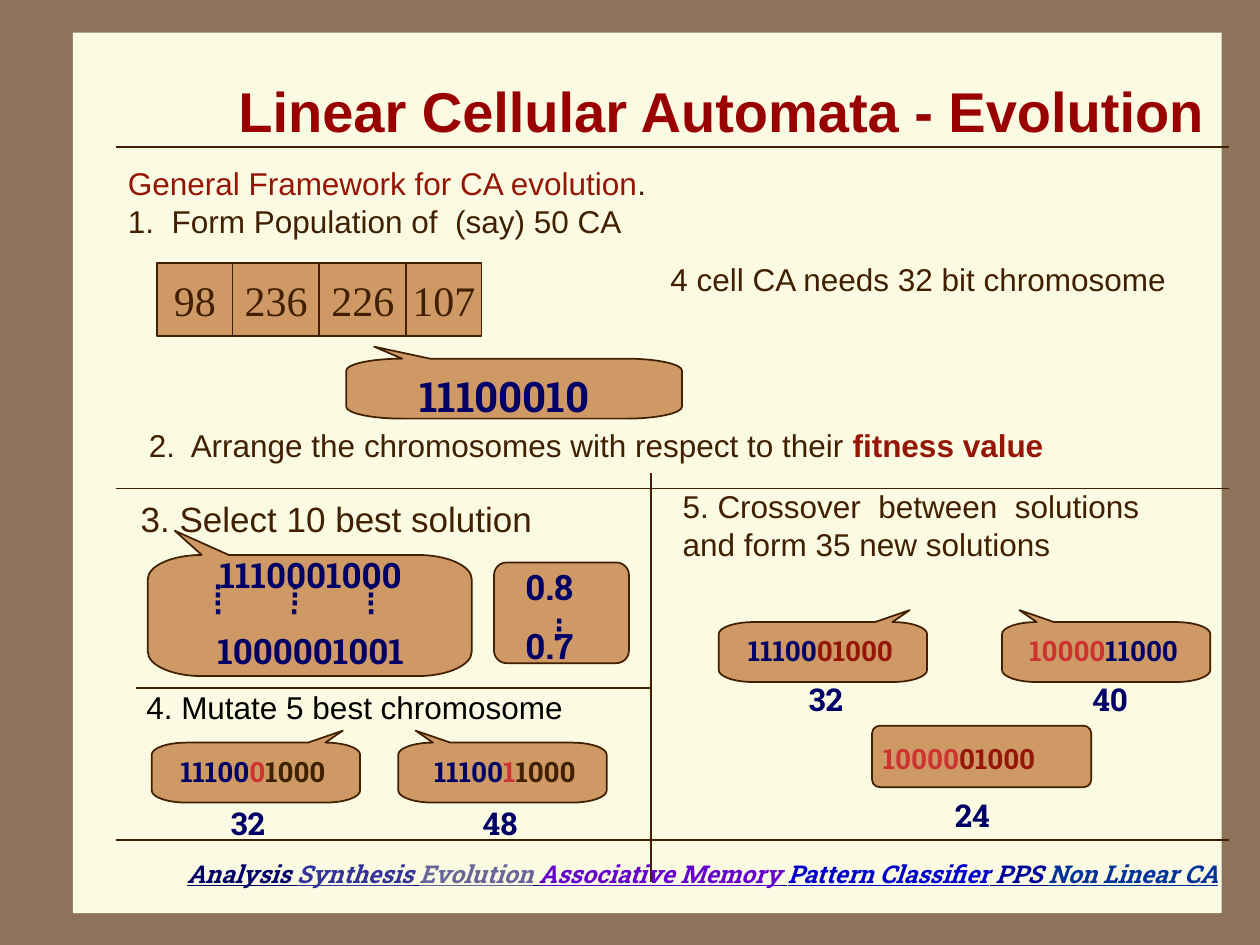
"""Build the slide on the evolution of linear cellular automata."""
from lxml import etree
from pptx import Presentation
from pptx.dml.color import RGBColor
from pptx.enum.shapes import MSO_CONNECTOR, MSO_SHAPE
from pptx.enum.text import MSO_ANCHOR, PP_ALIGN as AL
from pptx.oxml.ns import qn
from pptx.util import Cm, Pt

FRAME = RGBColor(0x8C, 0x73, 0x5A)
CREAM = RGBColor(0xFB, 0xFA, 0xE2)
TAN = RGBColor(0xCE, 0x99, 0x64)
BROWN = RGBColor(0x40, 0x20, 0x00)
NAVY = RGBColor(0x00, 0x00, 0x66)
MAROON = RGBColor(0x95, 0x15, 0x07)
TITLE_RED = RGBColor(0x99, 0x00, 0x00)
RED = RGBColor(0xCD, 0x33, 0x33)
BLACK = RGBColor(0x00, 0x00, 0x00)
INDIGO = RGBColor(0x33, 0x33, 0x99)
GREY_BLUE = RGBColor(0x66, 0x66, 0x99)
PURPLE = RGBColor(0x66, 0x00, 0xCC)
BLUE = RGBColor(0x00, 0x00, 0xCC)
DARK_BLUE = RGBColor(0x00, 0x00, 0x99)
TEAL_BLUE = RGBColor(0x00, 0x33, 0x99)
SLAB = "Roboto Slab"

prs = Presentation()
prs.slide_width, prs.slide_height = Cm(25.4), Cm(19.05)
s = prs.slides.add_slide(prs.slide_layouts[5])
s.background.fill.solid()
s.background.fill.fore_color.rgb = FRAME


def add_text(x, y, w, h, *paras, size=18, font="Arial", align=AL.LEFT, wrap=True, spacing=None):
    sp = s.shapes.add_textbox(Cm(x), Cm(y), Cm(w), Cm(h))
    tf = sp.text_frame
    tf.word_wrap = wrap
    for i, runs in enumerate(paras):
        p = tf.add_paragraph() if i else tf.paragraphs[0]
        p.alignment = align
        p.line_spacing = spacing
        for words, color in runs:
            r = p.add_run()
            r.text = words
            r.font.name, r.font.size, r.font.bold = font, Pt(size), font == SLAB
            r.font.color.rgb = color
    return sp


def add_callout(x, y, w, h, mirror=False):
    sixths = [(0.5, 0), (1.5, 1), (5, 1), (6, 2), (6, 5), (5, 6), (1, 6), (0, 5), (0, 2), (1, 1)]
    pts = [(Cm(x + w * (6 - u if mirror else u) / 6), Cm(y + h * v / 6)) for u, v in sixths]
    fb = s.shapes.build_freeform(*pts[0])
    fb.add_line_segments(pts[1:], close=True)
    sp = fb.convert_to_shape()
    nodes = list(sp._element.iter(qn("a:lnTo")))
    xy = [(int(n[0].get("x")), int(n[0].get("y"))) for n in nodes]
    for i in (2, 4, 6, 8):
        start, end = xy[i - 1], xy[i]
        corner = (end[0], start[1]) if i in (2, 6) else (start[0], end[1])
        nodes[i].tag = qn("a:cubicBezTo")
        for k, base in enumerate((start, end)):
            cx, cy = (round(b + 0.55 * (c - b)) for b, c in zip(base, corner))
            nodes[i].insert(k, etree.Element(qn("a:pt"), x=str(cx), y=str(cy)))
    return sp


panel = s.shapes.add_shape(MSO_SHAPE.RECTANGLE, Cm(1.47), Cm(0.66), Cm(23.16), Cm(17.75))
panel.shadow.inherit = False
panel.fill.solid()
panel.fill.fore_color.rgb = CREAM
panel.line.fill.background()

for x1, y1, x2, y2 in [
    (2.33, 2.97, 24.77, 2.97),
    (2.33, 16.94, 24.77, 16.94),
    (2.33, 9.85, 24.77, 9.85),
    (13.13, 9.53, 13.13, 17.78),
    (2.75, 13.87, 13.13, 13.87),
]:
    line = s.shapes.add_connector(MSO_CONNECTOR.STRAIGHT, Cm(x1), Cm(y1), Cm(x2), Cm(y2))
    line.line.color.rgb = BROWN
    line.line.width = Pt(1)
    etree.SubElement(line._element.spPr, qn("a:effectLst"))

title = s.shapes.title
s.shapes._spTree.append(title._element)
title.left, title.top, title.width, title.height = Cm(2.75), Cm(0.84), Cm(21.8), Cm(2.74)
tf = title.text_frame
tf.word_wrap = True
tf.vertical_anchor = MSO_ANCHOR.MIDDLE
p = tf.paragraphs[0]
p.alignment = AL.RIGHT
r = p.add_run()
r.text = "Linear Cellular Automata - Evolution"
r.font.name, r.font.size, r.font.bold = "Arial", Pt(32), True
r.font.color.rgb = TITLE_RED

footer = add_text(
    1.52, 17.19, 23.29, 1.45,
    [("Analysis ", NAVY), ("Synthesis", INDIGO), (" ", NAVY), ("Evolution", GREY_BLUE),
     (" ", NAVY), ("Associative Memory", PURPLE), (" ", NAVY), ("Pattern Classifier", BLUE),
     (" ", NAVY), ("PPS", DARK_BLUE), (" ", NAVY), ("Non Linear CA", TEAL_BLUE)],
    size=14, font=SLAB, align=AL.RIGHT)
for r in footer.text_frame.paragraphs[0].runs:
    r.font.italic = r.font.underline = True

select = s.shapes.add_shape(MSO_SHAPE.ROUNDED_RECTANGLE, Cm(2.54), Cm(9.86), Cm(10.59), Cm(1.27))
select.adjustments[0] = 0.125
select.shadow.inherit = False
select.fill.background()
select.line.fill.background()
tf = select.text_frame
tf.vertical_anchor = MSO_ANCHOR.TOP
p = tf.paragraphs[0]
p.alignment = AL.JUSTIFY
r = p.add_run()
r.text = "3. Select 10 best solution"
r.font.name, r.font.size = "Arial", Pt(20)
r.font.color.rgb = BROWN

boxes = []
x = 3.17
for rule, w in [("98", 1.52), ("236", 1.75), ("226", 1.75), ("107", 1.52)]:
    sp = s.shapes.add_shape(MSO_SHAPE.RECTANGLE, Cm(x), Cm(5.31), Cm(w), Cm(1.47))
    tf = sp.text_frame
    tf.margin_left = tf.margin_right = 0
    tf.word_wrap = False
    tf.vertical_anchor = MSO_ANCHOR.MIDDLE
    p = tf.paragraphs[0]
    p.alignment = AL.CENTER
    r = p.add_run()
    r.text = rule
    r.font.name, r.font.size = "Times New Roman", Pt(24)
    r.font.color.rgb = BROWN
    boxes.append(sp)
    x += w

for x, y, w, h in [(9.96, 11.34, 2.72, 2.03), (17.58, 14.63, 4.42, 1.24)]:
    sp = s.shapes.add_shape(MSO_SHAPE.ROUNDED_RECTANGLE, Cm(x), Cm(y), Cm(w), Cm(h))
    sp.adjustments[0] = 0.125
    boxes.append(sp)

boxes.append(add_callout(6.98, 6.99, 6.77, 1.45))
boxes.append(add_callout(2.98, 10.7, 6.53, 2.93))

for x, y, mirror, text_x, runs in [
    (20.2, 12.3, False, 19.95, [("10000", RED), ("11000", NAVY)]),
    (14.49, 12.3, True, 14.24, [("11100", NAVY), ("01000", MAROON)]),
    (3.06, 14.73, True, 2.8, [("11100", NAVY), ("0", RED), ("1000", BROWN)]),
    (8.03, 14.73, False, 7.88, [("11100", NAVY), ("1", RED), ("1000", BROWN)]),
]:
    boxes.append(add_callout(x, y, 4.2, 1.45, mirror))
    add_text(text_x, y + 0.35, 4.6, 0.95, runs, size=16, font=SLAB, align=AL.CENTER)

for sp in boxes:
    sp.shadow.inherit = False
    sp.fill.solid()
    sp.fill.fore_color.rgb = TAN
    sp.line.color.rgb = BROWN
    sp.line.width = Pt(1)

add_text(2.33, 3.18, 22.02, 1.78,
         [("General Framework for CA evolution", MAROON), (".", BROWN)],
         [("1.  Form Population of  (say) 50 CA", BROWN)])
add_text(13.25, 5.12, 10.52, 1.02, [("4 cell CA needs 32 bit chromosome", BROWN)],
         align=AL.CENTER, wrap=False)
add_text(7.67, 7.34, 5, 1.27, [("11100010", NAVY)], size=24, font=SLAB, align=AL.CENTER)
arrange = add_text(2.75, 8.46, 22.02, 1.02,
                   [("2.  Arrange the chromosomes with respect to their ", BROWN),
                    ("fitness value", MAROON)])
arrange.text_frame.paragraphs[0].runs[1].font.bold = True

for y, bits in [(11.33, "1110001000"), (12.87, "1000001001")]:
    add_text(3, y, 6.53, 0.76, [(bits, NAVY)], size=20, font=SLAB, align=AL.CENTER, spacing=0.6)
for i in range(3):
    dots = add_text(3.78 + 1.54 * i, 11.86, 1.47, 0.76, [("….", NAVY)],
                    size=20, font=SLAB, wrap=False, spacing=0.6)
    dots.rotation = 91
for y, fitness in [(11.54, "0.8"), (12.73, "0.7")]:
    add_text(10.34, y, 1.68, 0.81, [(fitness, NAVY)],
             size=20, font=SLAB, wrap=False, spacing=0.65)
dots = add_text(10.55, 12.19, 1.22, 0.81, [("…", NAVY)],
                size=20, font=SLAB, wrap=False, spacing=0.65)
dots.rotation = 271

add_text(2.7, 13.74, 8.92, 1.02, [("4. Mutate 5 best chromosome", BLACK)], wrap=False)
add_text(13.51, 9.7, 10.85, 1.78,
         [("5. Crossover  between  solutions and form 35 new solutions", BROWN)])
add_text(17.55, 14.82, 4.24, 0.95, [("10000", RED), ("01000", MAROON)],
         size=16, font=SLAB, wrap=False)

for x, y, fitness in [(16.05, 13.59, "32"), (21.77, 13.59, "40"), (19, 15.93, "24"),
                      (4.4, 16.08, "32"), (9.48, 16.08, "48")]:
    add_text(x, y, 1.35, 1.02, [(fitness, NAVY)], font=SLAB, wrap=False)

prs.save("out.pptx")
